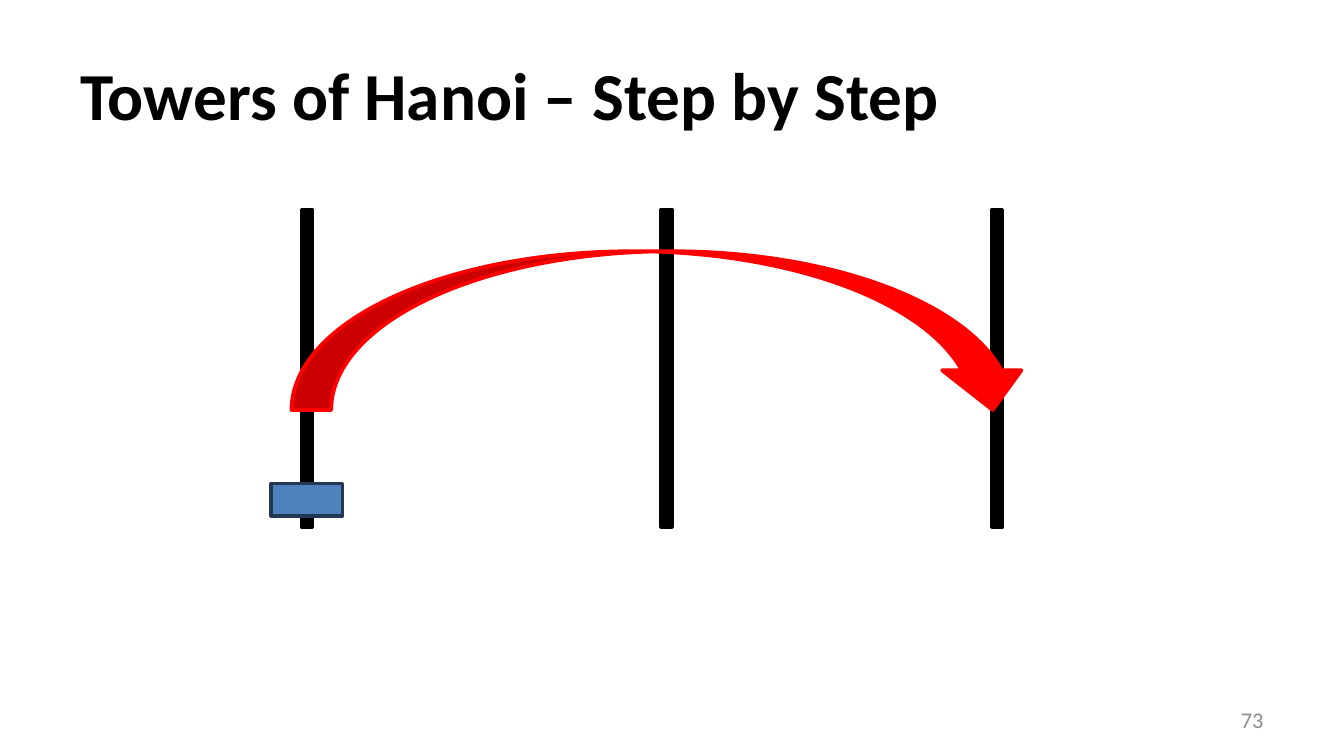
"""Build the Towers of Hanoi step slide."""
from dataclasses import dataclass

from pptx import Presentation
from pptx.dml.color import RGBColor
from pptx.enum.shapes import MSO_SHAPE
from pptx.enum.text import MSO_ANCHOR, PP_ALIGN
from pptx.util import Cm, Pt

RECT, CURVE = MSO_SHAPE.RECTANGLE, MSO_SHAPE.CURVED_DOWN_ARROW
MIDDLE = MSO_ANCHOR.MIDDLE
LEFT, RIGHT = PP_ALIGN.LEFT, PP_ALIGN.RIGHT


@dataclass(frozen=True)
class Theme:
    font: str = "Calibri"
    black: str = "000000"
    gray: str = "8C8C8C"
    blue: str = "4F81BD"
    navy: str = "233953"
    red: str = "FF0000"
    title: int = 36
    small: int = 12
    line: int = 2


THEME = Theme()
TITLE = "Towers of Hanoi – Step by Step"
NUMBER = "73"
PEGS = [5.8, 12.6, 18.85]
PEG = {"top": 3.96, "wide": 0.2, "high": 6}
DISK = {"top": 9.14, "wide": 1.35, "high": 0.61}
ARROW = {"top": 4.75, "wide": 14, "high": 3}
ARROW_MID = 12.51


def add_text(slide, text, box, size, color, bold=False, align=LEFT):
    frame = slide.shapes.add_textbox(*map(Cm, box)).text_frame
    frame.word_wrap = True
    frame.vertical_anchor = MIDDLE
    par = frame.paragraphs[0]
    par.text, par.alignment = text, align
    font = par.runs[0].font
    font.name, font.size, font.bold = THEME.font, Pt(size), bold
    font.color.rgb = RGBColor.from_string(color)


def add_form(slide, kind, mid, top, wide, high, fill, line):
    box = (mid - wide / 2, top, wide, high)
    shape = slide.shapes.add_shape(kind, *map(Cm, box))
    shape.shadow.inherit = False
    shape.fill.solid()
    shape.fill.fore_color.rgb = RGBColor.from_string(fill)
    shape.line.color.rgb = RGBColor.from_string(line)
    shape.line.width = Pt(THEME.line)


def main():
    deck = Presentation()
    deck.slide_width, deck.slide_height = Cm(25.4), Cm(14.29)
    slide = deck.slides.add_slide(deck.slide_layouts[6])
    add_text(slide, TITLE, (1.27, 0.58, 22.86, 2.39),
             THEME.title, THEME.black, bold=True)
    add_text(slide, NUMBER, (18.21, 13.23, 5.92, 0.76),
             THEME.small, THEME.gray, align=RIGHT)
    for mid in PEGS:
        add_form(slide, RECT, mid, **PEG, fill=THEME.black, line=THEME.black)
    add_form(slide, RECT, PEGS[0], **DISK, fill=THEME.blue, line=THEME.navy)
    add_form(slide, CURVE, ARROW_MID, **ARROW, fill=THEME.red, line=THEME.red)
    deck.save("out.pptx")


if __name__ == "__main__":
    main()
